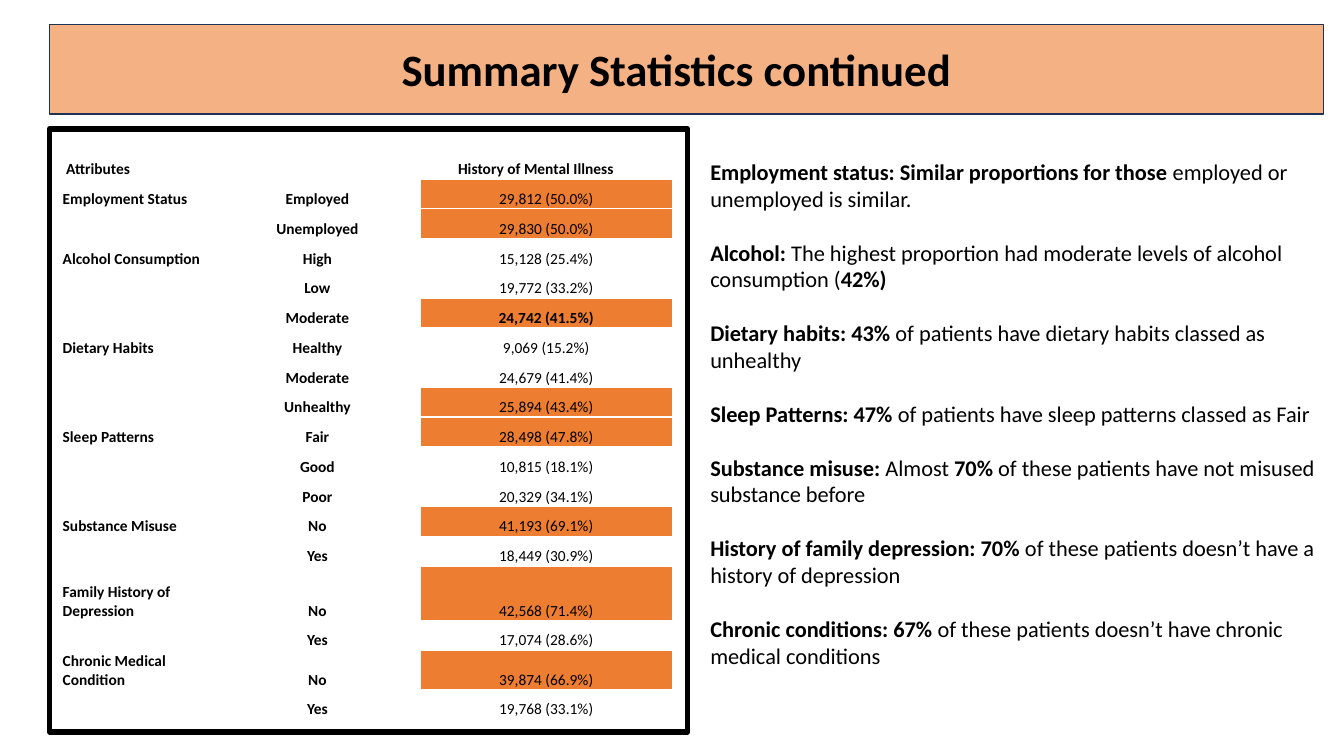
import pptx
import pptx.util
import pptx.dml.color
import pptx.enum.shapes
import pptx.enum.text
import pptx.oxml
import pptx.oxml.ns
from lxml import etree

Cm = pptx.util.Cm
Pt = pptx.util.Pt
RGBColor = pptx.dml.color.RGBColor
PP_ALIGN = pptx.enum.text.PP_ALIGN
MSO_ANCHOR = pptx.enum.text.MSO_ANCHOR
MSO_AUTO_SIZE = pptx.enum.text.MSO_AUTO_SIZE
qn = pptx.oxml.ns.qn

BLACK = RGBColor(0x00, 0x00, 0x00)
WHITE = RGBColor(0xFF, 0xFF, 0xFF)
PEACH = RGBColor(0xF4, 0xB1, 0x83)
ORANGE = RGBColor(0xED, 0x7D, 0x31)
NAVY = RGBColor(0x1E, 0x32, 0x56)
FONT = "Calibri"

GROUPS = [
    ("Employment Status", [("Employed", "29,812 (50.0%)"), ("Unemployed", "29,830 (50.0%)")]),
    ("Alcohol Consumption", [("High", "15,128 (25.4%)"), ("Low", "19,772 (33.2%)"),
                             ("Moderate", "24,742 (41.5%)")]),
    ("Dietary Habits", [("Healthy", "9,069 (15.2%)"), ("Moderate", "24,679 (41.4%)"),
                        ("Unhealthy", "25,894 (43.4%)")]),
    ("Sleep Patterns", [("Fair", "28,498 (47.8%)"), ("Good", "10,815 (18.1%)"),
                        ("Poor", "20,329 (34.1%)")]),
    ("Substance Misuse", [("No", "41,193 (69.1%)"), ("Yes", "18,449 (30.9%)")]),
    ("Family History of Depression", [("No", "42,568 (71.4%)"), ("Yes", "17,074 (28.6%)")]),
    ("Chronic Medical Condition", [("No", "39,874 (66.9%)"), ("Yes", "19,768 (33.1%)")]),
]
HIGHLIGHTED = {"29,812 (50.0%)", "29,830 (50.0%)", "24,742 (41.5%)", "25,894 (43.4%)",
               "28,498 (47.8%)", "41,193 (69.1%)", "42,568 (71.4%)", "39,874 (66.9%)"}
BOLD_VALUE = "24,742 (41.5%)"
COLUMN_WIDTHS = [4.29, 4.32, 0.43, 6.35]
ROW_HEIGHT = 0.75
TALL_ROW_HEIGHT = 1.37
TALL_GROUP = "Family History of Depression"

FINDINGS = [
    "Employment status: Similar proportions for those |employed or unemployed is similar.",
    "Alcohol: |The highest proportion had moderate levels of alcohol consumption (|42%)",
    "Dietary habits: 43% |of patients have dietary habits classed as unhealthy",
    "Sleep Patterns: 47% |of patients have sleep patterns classed as Fair",
    "Substance misuse: |Almost |70% |of these patients have not misused substance before",
    "History of family depression: 70%| of these patients doesn’t have a history of depression",
    "Chronic conditions: 67%| of these patients doesn’t have chronic medical conditions",
]


def format_run(r, size, bold):
    r.font.name = FONT
    r.font.size = Pt(size)
    r.font.bold = bold
    r.font.color.rgb = BLACK


def place(s, left, top, width, height):
    s.left, s.top, s.width, s.height = Cm(left), Cm(top), Cm(width), Cm(height)


def add_banner(slide, left, top, width, height):
    s = slide.shapes.title
    place(s, left, top, width, height)
    geom = etree.SubElement(s.element.spPr, qn("a:prstGeom"), prst="roundRect")
    etree.SubElement(geom, qn("a:avLst"))
    s.fill.solid()
    s.fill.fore_color.rgb = PEACH
    s.line.color.rgb = NAVY
    s.line.width = Pt(1)
    tf = s.text_frame
    tf.text = "Summary Statistics continued  "
    tf.auto_size = MSO_AUTO_SIZE.NONE
    tf.vertical_anchor = MSO_ANCHOR.MIDDLE
    p = tf.paragraphs[0]
    p.alignment = PP_ALIGN.CENTER
    format_run(p.runs[0], 32, True)


def add_borders(cell):
    tc_pr = cell._tc.get_or_add_tcPr()
    for side in ("a:lnL", "a:lnR", "a:lnT", "a:lnB"):
        ln = etree.SubElement(tc_pr, qn(side), w=str(Pt(1)))
        fill = etree.SubElement(ln, qn("a:solidFill"))
        etree.SubElement(fill, qn("a:srgbClr"), val=str(WHITE))


def fill_cell(cell, text, centred):
    add_borders(cell)
    cell.fill.solid()
    cell.fill.fore_color.rgb = ORANGE if text in HIGHLIGHTED else WHITE
    cell.margin_left = cell.margin_right = cell.margin_top = Cm(0.03)
    cell.margin_bottom = 0
    cell.vertical_anchor = MSO_ANCHOR.BOTTOM
    p = cell.text_frame.paragraphs[0]
    p.alignment = PP_ALIGN.CENTER if centred else PP_ALIGN.LEFT
    if text:
        p.text = text
        is_value = "%" in text
        format_run(p.runs[0], 11, not is_value or text == BOLD_VALUE)
    else:
        etree.SubElement(p._p, qn("a:endParaRPr"), sz="1100")


def add_statistics(slide, left, top, width, height):
    s = slide.shapes.add_shape(pptx.enum.shapes.MSO_SHAPE.RECTANGLE,
                               Cm(left), Cm(top), Cm(width), Cm(height))
    s.shadow.inherit = False
    s.fill.solid()
    s.fill.fore_color.rgb = WHITE
    s.line.color.rgb = BLACK
    s.line.width = Pt(4)

    rows = [("\u00a0Attributes".replace("\u00a0", " "), "", "History of Mental Illness ", "")]
    for group, levels in GROUPS:
        for i, (level, value) in enumerate(levels):
            rows.append((group if i == 0 else "", level, "", value))
    heights = [TALL_ROW_HEIGHT if row[0] == TALL_GROUP else ROW_HEIGHT for row in rows]

    frame = slide.shapes.add_table(len(rows), len(COLUMN_WIDTHS), Cm(left + 0.3), Cm(top + 0.51),
                                   Cm(sum(COLUMN_WIDTHS)), Cm(sum(heights)))
    table = frame.table
    table.first_row = table.horz_banding = False
    for column, column_width in zip(table.columns, COLUMN_WIDTHS):
        column.width = Cm(column_width)
    for i, (row, row_height) in enumerate(zip(rows, heights)):
        table.rows[i].height = Cm(row_height)
        for j, text in enumerate(row):
            fill_cell(table.cell(i, j), text, j > 0)
    table.cell(0, 2).merge(table.cell(0, 3))


def add_findings(slide, left, top, width, height):
    s = slide.shapes.add_textbox(Cm(left), Cm(top), Cm(width), Cm(height))
    tf = s.text_frame
    tf.word_wrap = True
    tf.auto_size = MSO_AUTO_SIZE.SHAPE_TO_FIT_TEXT
    for i, finding in enumerate(FINDINGS):
        p = tf.add_paragraph() if i else tf.paragraphs[0]
        p.space_after = Pt(19.2)
        for j, text in enumerate(finding.split("|")):
            r = p.add_run()
            r.text = text
            format_run(r, 16, j % 2 == 0)


def main():
    prs = pptx.Presentation()
    prs.slide_width, prs.slide_height = Cm(33.87), Cm(19.05)
    slide = prs.slides.add_slide(prs.slide_layouts[5])
    add_banner(slide, 1.25, 0.61, 32.11, 2.26)
    add_statistics(slide, 1.25, 3.25, 16.08, 15.19)
    add_findings(slide, 17.65, 3.86, 16.08, 13.94)
    prs.save("out.pptx")


if __name__ == "__main__":
    main()
